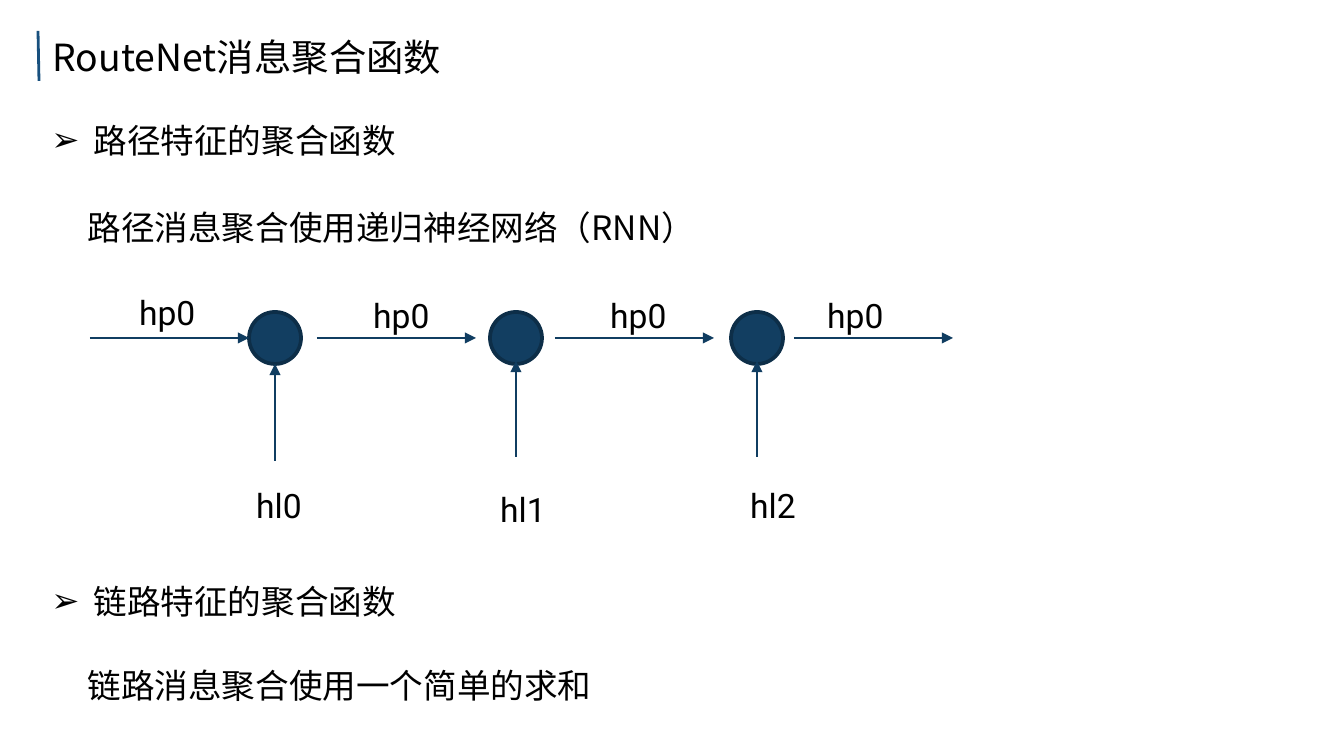
from dataclasses import dataclass

import pptx
import pptx.dml.color
import pptx.enum.shapes
import pptx.enum.text
import pptx.oxml
import pptx.oxml.ns
import pptx.util

PX = 914400 / 134.4


def px(length):
    return pptx.util.Emu(round(length * PX))


def rgb(code):
    return pptx.dml.color.RGBColor.from_string(code)


@dataclass(frozen=True)
class Theme:
    text: str = "000000"
    accent: str = "18507E"
    node: str = "123E61"
    node_edge: str = "0D2E48"
    arrow: str = "103D61"
    cjk: str = "Noto Sans CJK SC"
    latin: str = "Roboto"
    title_size: float = 20
    body_size: float = 18


class SlideBuilder:
    def __init__(self, slide, theme):
        self.slide = slide
        self.theme = theme

    def set_text(self, box, words, size, font):
        """Fill a text shape with one left-aligned line."""
        frame = box.text_frame
        frame.word_wrap = True
        frame.vertical_anchor = pptx.enum.text.MSO_ANCHOR.TOP
        frame.auto_size = pptx.enum.text.MSO_AUTO_SIZE.SHAPE_TO_FIT_TEXT
        para = frame.paragraphs[0]
        para.alignment = pptx.enum.text.PP_ALIGN.LEFT
        para.line_spacing = 1.0
        para.space_before = pptx.util.Pt(0)
        span = para.add_run()
        span.text = words
        span.font.size = pptx.util.Pt(size)
        span.font.bold = False
        span.font.name = font
        span.font.color.rgb = rgb(self.theme.text)
        east_asian = pptx.oxml.parse_xml(
            f'<a:ea {pptx.oxml.ns.nsdecls("a")} typeface="{font}"/>')
        span.font._element.find(pptx.oxml.ns.qn("a:latin")).addnext(east_asian)
        return para

    def place(self, box, left, top, width, height):
        box.left, box.top = px(left), px(top)
        box.width, box.height = px(width), px(height)

    def title(self, words, left, top, width, height):
        box = self.slide.shapes.title
        self.place(box, left, top, width, height)
        self.set_text(box, words, self.theme.title_size, self.theme.cjk)

    def body(self, index, words, left, top, bullet=None):
        box = self.slide.placeholders[index]
        self.place(box, left, top, 672, 54)
        para = self.set_text(box, words, self.theme.body_size, self.theme.cjk)
        properties = para._p.get_or_add_pPr()
        hang = px(42) if bullet else 0
        properties.set("marL", str(hang))
        properties.set("indent", str(-hang))
        mark = f'buChar char="{bullet}"' if bullet else "buNone"
        tag, _, attributes = mark.partition(" ")
        properties.append(pptx.oxml.parse_xml(
            f'<a:{tag} {pptx.oxml.ns.nsdecls("a")} {attributes}/>'))

    def label(self, words, left, top, width):
        box = self.slide.shapes.add_textbox(px(left), px(top), px(width), px(54))
        self.set_text(box, words, self.theme.body_size, self.theme.latin)

    def node(self, left, top, size):
        shape = self.slide.shapes.add_shape(
            pptx.enum.shapes.MSO_SHAPE.OVAL, px(left), px(top), px(size), px(size))
        shape.shadow.inherit = False
        shape.fill.solid()
        shape.fill.fore_color.rgb = rgb(self.theme.node)
        shape.line.color.rgb = rgb(self.theme.node_edge)
        shape.line.width = pptx.util.Pt(2)

    def line(self, start, end, color, weight):
        connector = self.slide.shapes.add_connector(
            pptx.enum.shapes.MSO_CONNECTOR.STRAIGHT, *map(px, start + end))
        connector.line.color.rgb = rgb(color)
        connector.line.width = pptx.util.Pt(weight)
        connector._element.spPr.append(pptx.oxml.parse_xml(
            f'<a:effectLst {pptx.oxml.ns.nsdecls("a")}/>'))
        return connector

    def arrow(self, start, end):
        connector = self.line(start, end, self.theme.arrow, 0.75)
        connector.line._get_or_add_ln().append(pptx.oxml.parse_xml(
            f'<a:tailEnd {pptx.oxml.ns.nsdecls("a")} type="triangle"/>'))


def main():
    deck = pptx.Presentation()
    deck.slide_width, deck.slide_height = px(1344), px(756)
    comparison = deck.slide_layouts[4]
    page = deck.slides.add_slide(comparison)
    builder = SlideBuilder(page, Theme())

    builder.title("RouteNet消息聚合函数", 39, 27, 597, 59)
    builder.line((38, 31), (39, 81), builder.theme.accent, 1.5)

    builder.body(1, "路径特征的聚合函数", 38, 113, "➢")
    builder.body(2, "路径消息聚合使用递归神经网络（RNN）", 74, 200)
    builder.body(3, "链路特征的聚合函数", 38, 574, "➢")
    builder.body(4, "链路消息聚合使用一个简单的求和", 74, 658)

    node_left, node_top, node_size, node_step = 249, 312, 52, 241
    middle = node_top + node_size // 2
    link_inputs = [(461, 364, 478, 243), (457, 361, 482, 487), (457, 361, 478, 737)]
    for index, (tail, head, label_top, label_left) in enumerate(link_inputs):
        left = node_left + index * node_step
        center = left + node_size // 2
        builder.node(left, node_top, node_size)
        builder.arrow((center, tail), (center, head))
        builder.label(f"hl{index}", label_left, label_top, 74)

    path_states = [(90, 126, 285), (317, 360, 288), (555, 597, 288), (794, 814, 288)]
    for start, label_left, label_top in path_states:
        builder.arrow((start, middle), (start + 159, middle))
        builder.label("hp0", label_left, label_top, 96)

    deck.save("out.pptx")


if __name__ == "__main__":
    main()
